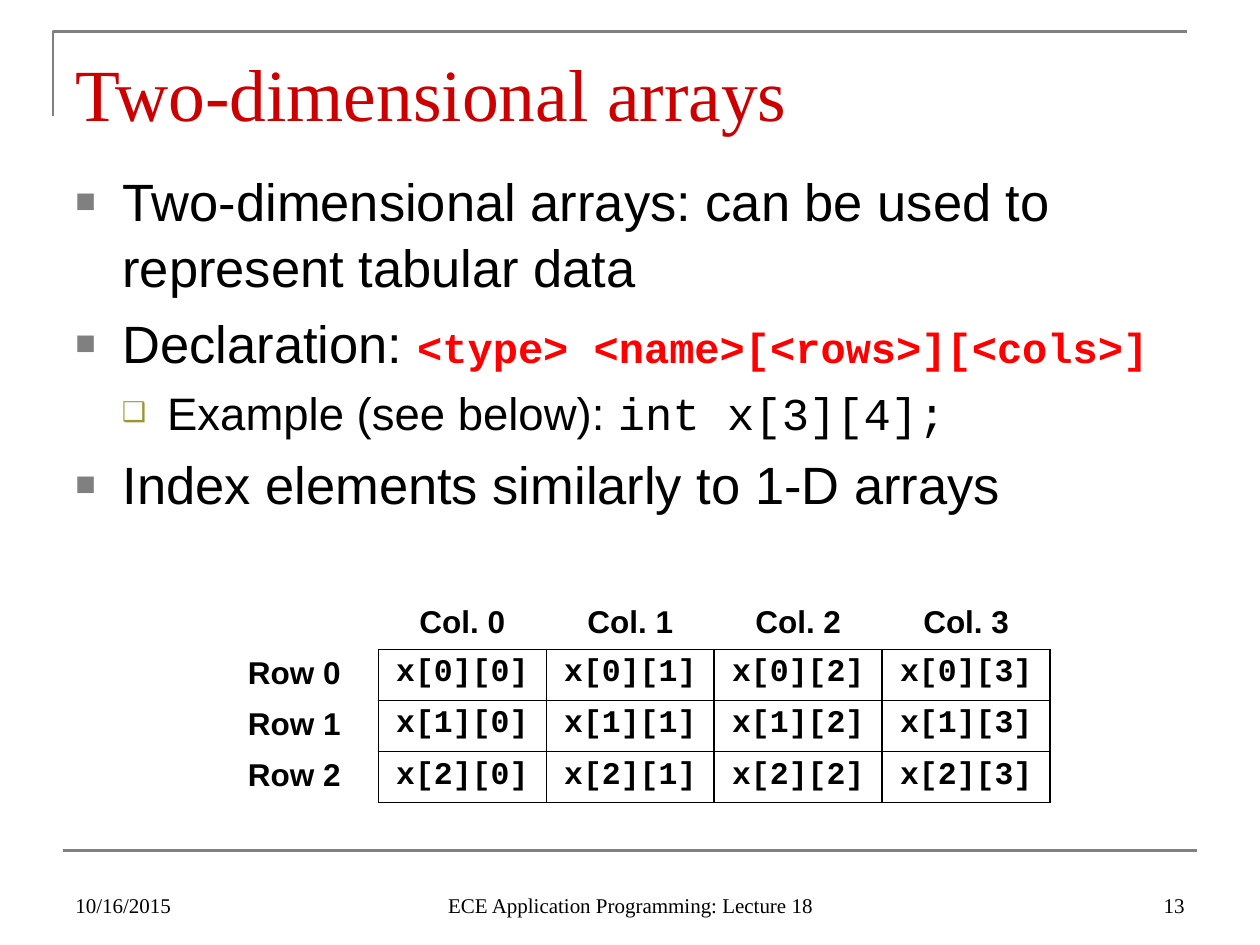
from dataclasses import dataclass
from typing import NamedTuple

from lxml.etree import SubElement
from pptx import Presentation
from pptx.dml.color import RGBColor
from pptx.enum.shapes import MSO_CONNECTOR as Connector
from pptx.enum.text import MSO_ANCHOR as Anchor, MSO_AUTO_SIZE as AutoSize, PP_ALIGN as Align
from pptx.oxml.ns import qn
from pptx.util import Cm, Pt

COLORS = {"title": "CC0000", "text": "000000", "code": "FF0000", "rule": "808080",
          "bullet": "808080", "sub_bullet": "999933", "border": "000000"}
SANS, SERIF, MONO = "Arial", "Times New Roman", "Courier New"
ROWS, COLS = 3, 4


class Span(NamedTuple):
    text: str
    size: float
    font: str = SANS
    color: str = "text"
    bold: bool = False


class Level(NamedTuple):
    margin: float
    hanging: float
    bullet: str
    color: str
    percent: int
    space_before: float


@dataclass
class Item:
    spans: list[Span]
    level: int = 0


@dataclass
class Footer:
    text: str
    left: float
    width: float
    align: Align


LEVELS = [Level(0.95, 0.95, "■", "bullet", 65, 6),
          Level(1.85, 0.91, "❑", "sub_bullet", 60, 5.2)]
ITEMS = [
    Item([Span("Two-dimensional arrays: can be used to represent tabular data", 30)]),
    Item([Span("Declaration: ", 30),
          Span("<type> <name>[<rows>][<cols>]", 24, MONO, "code", True)]),
    Item([Span("Example (see below): ", 26), Span("int x[3][4];", 26, MONO)], level=1),
    Item([Span("Index elements similarly to 1-D arrays", 30)]),
]
FOOTERS = [
    Footer("10/16/2015", 1.27, 5.92, Align.LEFT),
    Footer("ECE Application Programming: Lecture 18", 8.69, 8.05, Align.CENTER),
    Footer("13", 18.21, 5.92, Align.RIGHT),
]


def rgb(name: str) -> RGBColor:
    return RGBColor.from_string(COLORS[name])


def add_span(para, text: str, *, size: float, font: str = SANS,
             color: str = "text", bold: bool = False) -> None:
    span = para.add_run()
    span.text = text
    span.font.size = Pt(size)
    span.font.name = font
    span.font.bold = bold
    span.font.color.rgb = rgb(color)


def add_box(page, left: float, top: float, width: float, height: float):
    box = page.shapes.add_textbox(Cm(left), Cm(top), Cm(width), Cm(height))
    box.text_frame.word_wrap = True
    return box.text_frame


def style_rule(shape) -> None:
    shape.line.color.rgb = rgb("rule")
    shape.line.width = Pt(1.5)


def draw_rules(page) -> None:
    builder = page.shapes.build_freeform(Cm(1.07), Cm(2.34))
    builder.add_line_segments([(Cm(1.07), Cm(0.64)), (Cm(23.93), Cm(0.64))], close=False)
    corner = builder.convert_to_shape()
    corner.shadow.inherit = False
    corner.fill.background()
    style_rule(corner)

    rule = page.shapes.add_connector(Connector.STRAIGHT, Cm(1.27), Cm(17.15), Cm(24.13), Cm(17.15))
    style_rule(rule)
    SubElement(rule.element.spPr, qn("a:effectLst"))


def draw_title(page, text: str) -> None:
    title = page.shapes.title
    title.left, title.top, title.width, title.height = Cm(1.27), Cm(0.76), Cm(22.86), Cm(1.98)
    frame = title.text_frame
    frame.auto_size = AutoSize.NONE
    frame.vertical_anchor = Anchor.BOTTOM
    frame.margin_bottom = 0
    para = frame.paragraphs[0]
    para.alignment = Align.LEFT
    add_span(para, text, size=42, font=SERIF, color="title")


def set_bullet(para, level: Level) -> None:
    props = para._p.get_or_add_pPr()
    props.set("marL", str(Cm(level.margin)))
    props.set("indent", str(-Cm(level.hanging)))
    color = SubElement(props, qn("a:buClr"))
    SubElement(color, qn("a:srgbClr"), val=COLORS[level.color])
    SubElement(props, qn("a:buSzPct"), val=str(level.percent * 1000))
    SubElement(props, qn("a:buFont"), typeface=SANS)
    SubElement(props, qn("a:buChar"), char=level.bullet)


def draw_body(page, items: list[Item]) -> None:
    frame = add_box(page, 1.27, 3.18, 22.86, 13.84)
    frame.margin_top = Cm(0.18)
    for index, item in enumerate(items):
        para = frame.add_paragraph() if index else frame.paragraphs[0]
        level = LEVELS[item.level]
        para.level = item.level
        set_bullet(para, level)
        para.line_spacing = 1.04
        para.space_before = Pt(level.space_before if index else 0)
        for span in item.spans:
            add_span(para, **span._asdict())


def set_borders(cell, sides: dict[str, bool]) -> None:
    props = cell._tc.get_or_add_tcPr()
    for position, (side, visible) in enumerate(sides.items()):
        line = SubElement(props, qn(f"a:ln{side}"), w=str(Pt(1)))
        if visible:
            fill = SubElement(line, qn("a:solidFill"))
            SubElement(fill, qn("a:srgbClr"), val=COLORS["border"])
        else:
            SubElement(line, qn("a:noFill"))
        props.insert(position, line)


def cell_text(row: int, col: int) -> str:
    if row and col:
        return f"x[{row - 1}][{col - 1}]"
    if row:
        return f"Row {row - 1}"
    return f"Col. {col - 1}" if col else ""


def draw_table(page) -> None:
    table = page.shapes.add_table(ROWS + 1, COLS + 1, Cm(4.24), Cm(12.07),
                                  Cm(16.93), Cm(4.11)).table
    table.first_row = table.horz_banding = False
    for column in table.columns:
        column.width = Cm(16.93 / (COLS + 1))
    for row, line in enumerate(table.rows):
        line.height = Cm(1.03 if row else 1.02)
        for col, cell in enumerate(line.cells):
            inner = row > 0 and col > 0
            cell.fill.background()
            set_borders(cell, {"L": inner, "R": row > 0, "T": inner, "B": col > 0})
            para = cell.text_frame.paragraphs[0]
            para.alignment = Align.CENTER
            if row or col:
                add_span(para, cell_text(row, col), size=18,
                         font=MONO if inner else SANS, bold=True)


def draw_footer(page, footer: Footer) -> None:
    frame = add_box(page, footer.left, 17.35, footer.width, 1.27)
    frame.vertical_anchor = Anchor.BOTTOM
    para = frame.paragraphs[0]
    para.alignment = footer.align
    add_span(para, footer.text, size=12, font=SERIF)


def main() -> None:
    deck = Presentation()
    deck.slide_width, deck.slide_height = Cm(25.4), Cm(19.05)
    page = deck.slides.add_slide(deck.slide_layouts[5])
    draw_rules(page)
    draw_title(page, "Two-dimensional arrays")
    draw_body(page, ITEMS)
    for footer in FOOTERS:
        draw_footer(page, footer)
    draw_table(page)
    deck.save("out.pptx")


if __name__ == "__main__":
    main()
